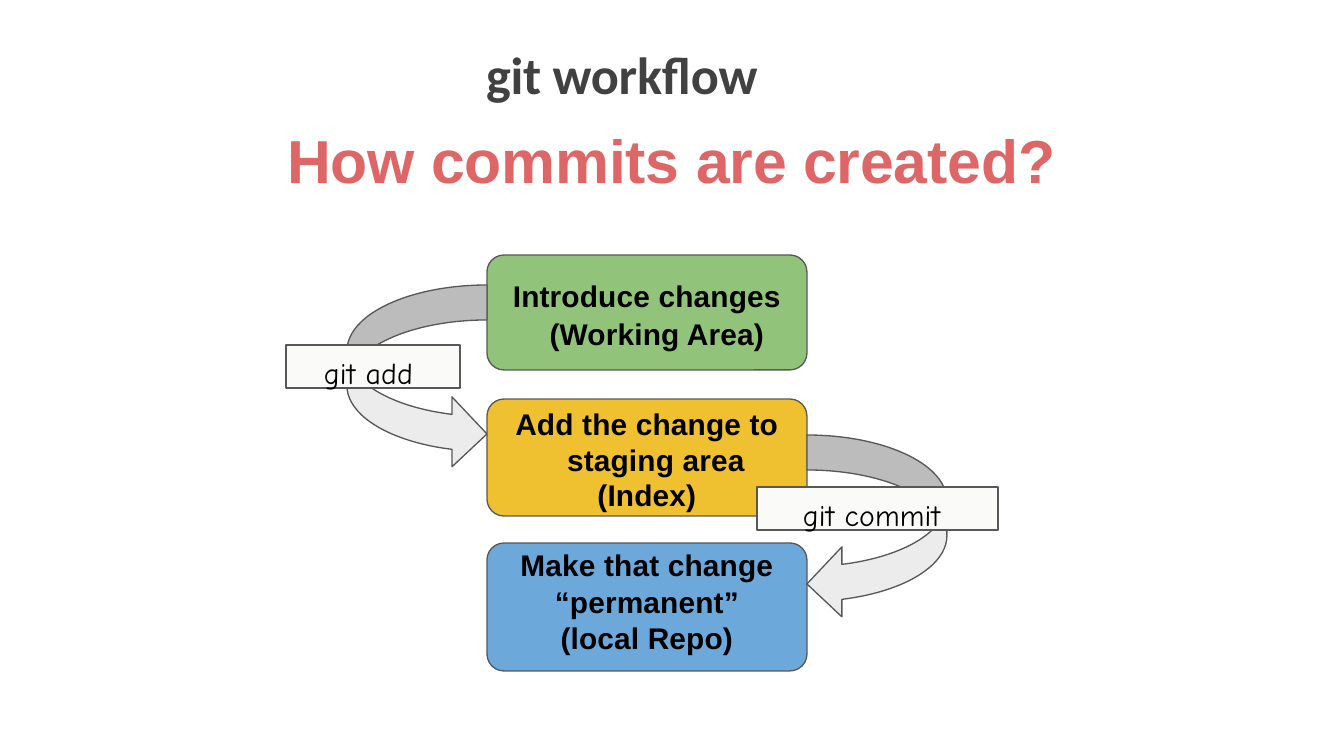
"""Build the git workflow slide showing how commits are created."""
import pptx
import pptx.dml.color
import pptx.enum.shapes
import pptx.enum.text
import pptx.util

PX = 914400 / 134.4
SHAPE = pptx.enum.shapes.MSO_SHAPE
ALIGN = pptx.enum.text.PP_ALIGN
ANCHOR = pptx.enum.text.MSO_ANCHOR
COLORS = {
    "title": "414141", "question": "DF6666", "text": "000000",
    "line": "585858", "label": "FAFAF8", "arrow": "ECECEC",
    "working": "92C37B", "staging": "EFC130", "repo": "6DA8DB",
}
TITLE = {"name": "Calibri", "size": pptx.util.Pt(28), "bold": True}
QUESTION = {"name": "Arial", "size": pptx.util.Pt(32.5), "bold": True}
STEP = {"name": "Arial", "size": pptx.util.Pt(16), "bold": True}
COMMAND = {"name": "Comic Neue", "size": pptx.util.Pt(16), "bold": False}


def px(n):
    return pptx.util.Emu(round(n * PX))


def rgb(name):
    return pptx.dml.color.RGBColor.from_string(COLORS[name])


def set_frame(tf, left=0, top=0, bottom=0, anchor=ANCHOR.TOP):
    frame = {
        "word_wrap": True, "vertical_anchor": anchor, "margin_left": px(left),
        "margin_top": px(top), "margin_right": 0, "margin_bottom": px(bottom),
    }
    for key, value in frame.items():
        setattr(tf, key, value)


def add_line(p, text, fmt, color="text", align=ALIGN.LEFT, spacing=10):
    p.alignment = align
    r = p.add_run()
    r.text = text
    for key, value in fmt.items():
        setattr(r.font, key, value)
    r.font.color.rgb = rgb(color)
    r.font._element.set("spc", str(spacing))


def add_heading(s, box, text, fmt, color):
    tf = s.shapes.add_textbox(*map(px, box)).text_frame
    set_frame(tf, left=1, top=3)
    add_line(tf.paragraphs[0], text, fmt, color, spacing=-10)


def add_outlined(s, kind, box, fill):
    sp = s.shapes.add_shape(kind, *map(px, box))
    sp.shadow.inherit = False
    sp.fill.solid()
    sp.fill.fore_color.rgb = rgb(fill)
    sp.line.color.rgb = rgb("line")
    sp.line.width = pptx.util.Pt(0.72)
    return sp


def add_step(s, top, height, fill, lines, pitch, shift=0, pad_top=0, pad_bottom=0):
    sp = add_outlined(s, SHAPE.ROUNDED_RECTANGLE, (487, top, 320, height), fill)
    sp.adjustments[0] = 17 / height
    tf = sp.text_frame
    set_frame(tf, top=pad_top, bottom=pad_bottom, anchor=ANCHOR.MIDDLE)
    for i, text in enumerate(lines):
        p = tf.paragraphs[0] if i == 0 else tf.add_paragraph()
        p.line_spacing = pptx.util.Pt(pitch)
        if i == 1 and shift:
            p._p.get_or_add_pPr().set("marL", str(px(shift)))
        add_line(p, text, STEP, align=ALIGN.CENTER)


def add_command(s, box, text, indent):
    tf = add_outlined(s, SHAPE.RECTANGLE, box, "label").text_frame
    set_frame(tf, left=indent, top=10)
    add_line(tf.paragraphs[0], text, COMMAND)


def main():
    prs = pptx.Presentation()
    prs.slide_width, prs.slide_height = px(1344), px(756)
    s = prs.slides.add_slide(prs.slide_layouts[6])

    add_heading(s, (485, 39, 290, 66), "git workflow", TITLE, "title")
    add_heading(s, (286, 120, 800, 77), "How commits are created?", QUESTION, "question")

    add_step(s, 255, 115, "working", ["Introduce changes", "(Working Area)"],
             20, shift=20, pad_top=3)
    add_step(s, 399, 117, "staging", ["Add the change to", "staging area", "(Index)"],
             19, shift=18, pad_top=4)
    add_step(s, 543, 128, "repo", ["Make that change", "“permanent”", "(local Repo)"],
             19.5, pad_bottom=12)

    add_outlined(s, SHAPE.CURVED_RIGHT_ARROW, (347, 285, 140, 184), "arrow")
    add_command(s, (286, 345, 174, 43), "git add", 38)
    add_outlined(s, SHAPE.CURVED_LEFT_ARROW, (807, 435, 140, 184), "arrow")
    add_command(s, (757, 487, 241, 43), "git commit", 46)

    prs.save("out.pptx")


if __name__ == "__main__":
    main()
